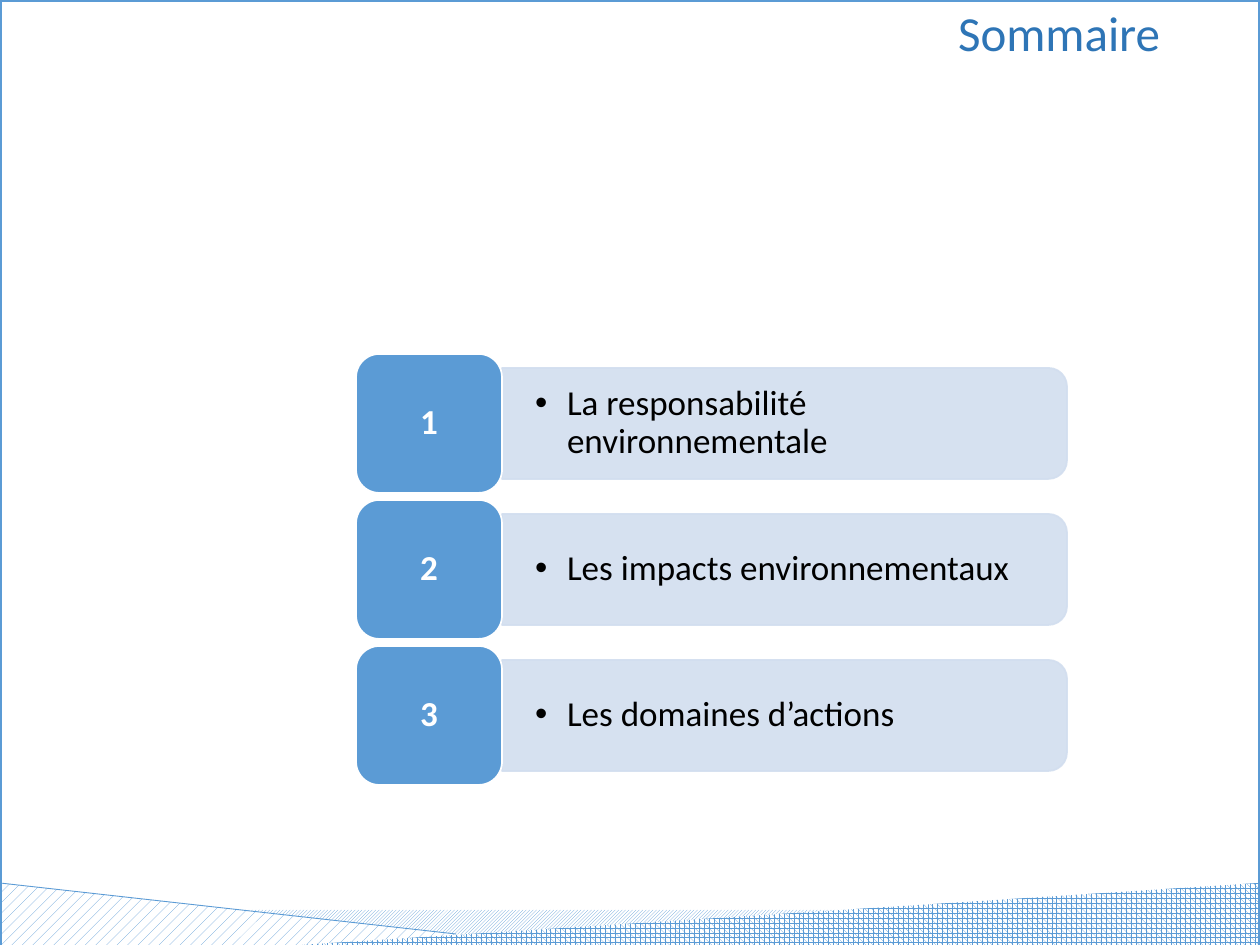
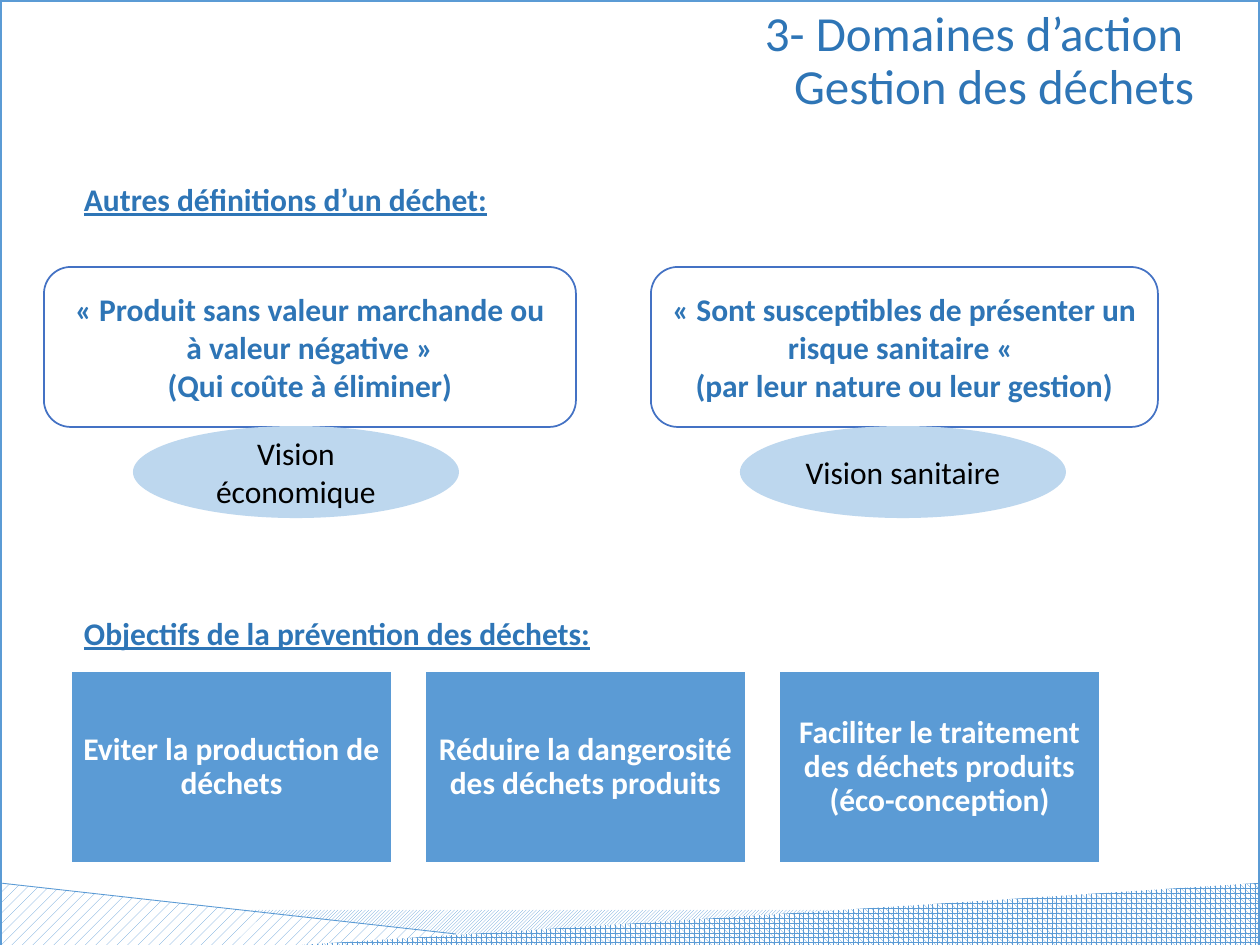
from lxml import etree
from pptx import Presentation
from pptx.dml.color import RGBColor
from pptx.enum.dml import MSO_PATTERN
from pptx.enum.shapes import MSO_CONNECTOR, MSO_SHAPE
from pptx.enum.text import MSO_ANCHOR, PP_ALIGN
from pptx.oxml.ns import qn
from pptx.util import Pt

PX = 914400 / 126  # EMU in one px
WIDE, HIGH = 1260, 945
FONT = "Calibri"
COLORS = {
    "blue": "5B9BD5", "title": "2E75B6", "edge": "4472C4", "bar": "D2DEEF",
    "oval": "BDD7EE", "white": "FFFFFF", "black": "000000",
}
LEFT, MID, RIGHT = PP_ALIGN.LEFT, PP_ALIGN.CENTER, PP_ALIGN.RIGHT
TOP, MIDDLE = MSO_ANCHOR.TOP, MSO_ANCHOR.MIDDLE
RECT, ROUND = MSO_SHAPE.RECTANGLE, MSO_SHAPE.ROUNDED_RECTANGLE
OVAL, TAB = MSO_SHAPE.OVAL, MSO_SHAPE.ROUND_2_SAME_RECTANGLE
STRIPES, DOTS, GRID = (MSO_PATTERN.LIGHT_UPWARD_DIAGONAL,
                       MSO_PATTERN.PERCENT_20, MSO_PATTERN.SPHERE)
STRAIGHT = MSO_CONNECTOR.STRAIGHT


def emu(*sizes):
    return [round(size * PX) for size in sizes]


def color(name):
    return RGBColor.from_string(COLORS[name])


def paint(shape, fill=None, line=None, width=1, pattern=None):
    shape.shadow.inherit = False
    if pattern is not None:
        shape.fill.patterned()
        shape.fill.pattern = pattern
        shape.fill.fore_color.rgb = color("blue")
        shape.fill.back_color.rgb = color("white")
    elif fill:
        shape.fill.solid()
        shape.fill.fore_color.rgb = color(fill)
    else:
        shape.fill.background()
    if line:
        shape.line.color.rgb = color(line)
        shape.line.width = Pt(width)
    else:
        shape.line.fill.background()
    return shape


def draw(slide, kind, box, **look):
    return paint(slide.shapes.add_shape(kind, *emu(*box)), **look)


def outline(slide, points, pattern):
    start, *rest = points
    pen = slide.shapes.build_freeform(*start, scale=PX)
    pen.add_line_segments(rest, close=True)
    return paint(pen.convert_to_shape(), pattern=pattern)


def write(shape, text, size=18, ink="title", bold=False, under=False,
          align=LEFT, anchor=TOP, space=1.0, inset=(13, 6), bullet=0):
    frame = shape.text_frame
    frame.word_wrap = True
    frame.vertical_anchor = anchor
    frame.margin_left = frame.margin_right = emu(inset[0])[0]
    frame.margin_top = frame.margin_bottom = emu(inset[1])[0]
    for i, words in enumerate(text.split("\n")):
        para = frame.add_paragraph() if i else frame.paragraphs[0]
        para.text = words
        para.alignment = align
        para.line_spacing = space
        if bullet:
            props = para._p.get_or_add_pPr()
            indent = emu(bullet)[0]
            props.set("marL", str(indent))
            props.set("indent", str(-indent))
            etree.SubElement(props, qn("a:buFont")).set("typeface", "Arial")
            etree.SubElement(props, qn("a:buChar")).set("char", "•")
        for run in para.runs:
            font = run.font
            font.name, font.size = FONT, Pt(size)
            font.bold, font.underline = bold, under
            font.color.rgb = color(ink)


def label(slide, box, text, **form):
    write(slide.shapes.add_textbox(*emu(*box)), text, **form)


def fade(shape, percent):
    for tone in shape._element.spPr.iter(qn("a:srgbClr")):
        etree.SubElement(tone, qn("a:alpha")).set("val", str(percent * 1000))


def base(deck):
    """Add a slide with the footer bands and the border."""
    slide = deck.slides.add_slide(deck.slide_layouts[6])
    top, end = 883, 948
    draw(slide, RECT, (164, 910, 827, 40), pattern=STRIPES)
    outline(slide, [(0, top), (551, HIGH), (539, end), (0, end)], DOTS)
    outline(slide, [(286, 946), (WIDE - 1, top), (WIDE, end), (276, end)], GRID)
    rule = slide.shapes.add_connector(STRAIGHT, *emu(0, top, 456, 934))
    rule.line.color.rgb = color("blue")
    rule.line.width = Pt(0.5)
    etree.SubElement(rule._element.spPr, qn("a:effectLst"))
    draw(slide, RECT, (0, 0, WIDE, end), line="blue", width=2.25)
    return slide


def title(slide, box, text):
    label(slide, box, text, size=28, align=RIGHT, space=0.9)


def head(slide, box, text):
    label(slide, box, text, bold=True, under=True, space=0.9)


def entry(slide, box, number, text):
    """Number badge with its topic bar."""
    x, y, w, h = box
    badge, tall = 146, 111
    wide = w - badge
    mid = y + h / 2
    # The bar is a tab turned a quarter, so its sides swap
    left = x + badge + (wide - tall) / 2
    bar = draw(slide, TAB, (left, mid - wide / 2, tall, wide),
               fill="bar", line="bar")
    bar.rotation = 90
    fade(bar, 90)
    label(slide, (x + badge - 1, mid - 50, wide - 5, 100), text, size=20,
          ink="black", anchor=MIDDLE, space=0.9, inset=(34, 18), bullet=32)
    tile = draw(slide, ROUND, (x, y, badge, h), fill="blue", line="white")
    write(tile, number, size=20, ink="white", bold=True, align=MID,
          anchor=MIDDLE, space=0.9, inset=(10, 5))


def view(slide, box, quote, name):
    """Quoted definition with its point of view below."""
    x, y, w, h = box
    card = draw(slide, ROUND, box, line="edge")
    write(card, quote, bold=True, align=MID, anchor=MIDDLE)
    oval = draw(slide, OVAL, (x + 89, y + h - 1, 326, 92), fill="oval")
    write(oval, name, ink="black", align=MID, anchor=MIDDLE)


def goals(slide, box, texts, gap):
    """Row of equal tiles."""
    x, y, w, h = box
    wide = (w - gap * (len(texts) - 1)) / len(texts)
    for i, text in enumerate(texts):
        tile = draw(slide, RECT, (x + i * (wide + gap), y, wide, h),
                    fill="blue", line="white")
        write(tile, text, ink="white", bold=True, align=MID, anchor=MIDDLE,
              space=0.9, inset=(9, 9))


def agenda(deck):
    slide = base(deck)
    title(slide, (87, 3, 1086, 137), "Sommaire")
    topics = ["La responsabilité environnementale",
              "Les impacts environnementaux", "Les domaines d’actions"]
    for i, topic in enumerate(topics):
        entry(slide, (356, 354 + i * 146, 711, 139), str(i + 1), topic)


def waste(deck):
    slide = base(deck)
    head(slide, (71, 178, 1086, 69), "Autres définitions d’un déchet:")
    title(slide, (87, 3, 1120, 154),
          "3- Domaines d’action \vGestion des déchets")
    view(slide, (44, 267, 532, 160),
         "« Produit sans valeur marchande ou à valeur négative »\n"
         "(Qui coûte à éliminer)", "Vision économique")
    view(slide, (651, 267, 507, 160),
         "« Sont susceptibles de présenter un risque sanitaire « \n"
         "(par leur nature ou leur gestion)", "Vision sanitaire")
    head(slide, (71, 612, 689, 77), "Objectifs de la prévention des déchets:")
    goals(slide, (71, 671, 1029, 192),
          ["Eviter la production de déchets",
           "Réduire la dangerosité des déchets produits",
           "Faciliter le traitement des déchets produits (éco-conception)"],
          gap=33)


def main():
    deck = Presentation()
    deck.slide_width, deck.slide_height = emu(WIDE, HIGH)
    agenda(deck)
    waste(deck)
    deck.save("out.pptx")


if __name__ == "__main__":
    main()
